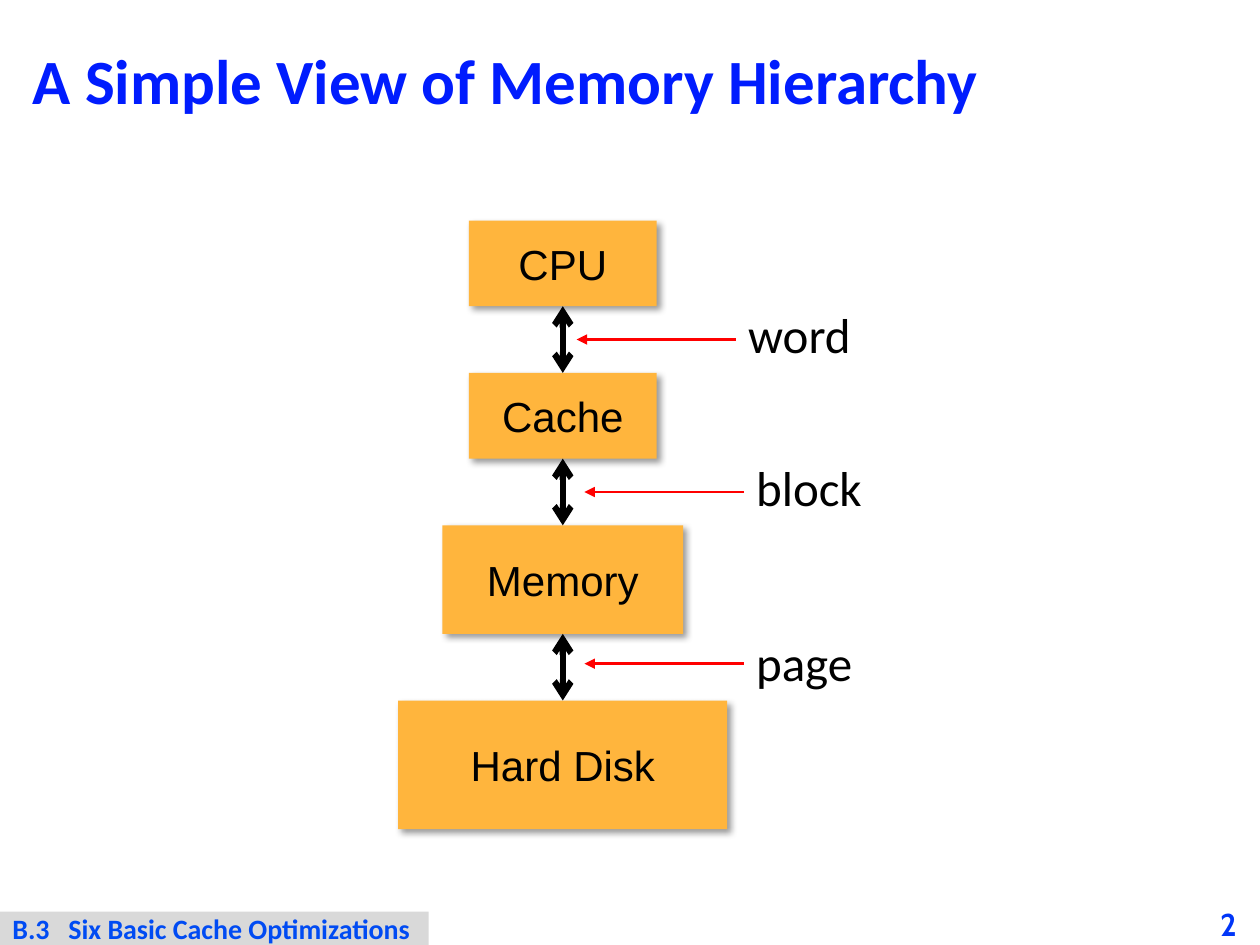
from dataclasses import dataclass

from lxml import etree
from pptx import Presentation
from pptx.dml.color import RGBColor
from pptx.enum import shapes, text
from pptx.oxml import ns
from pptx.util import Pt


@dataclass(frozen=True)
class Theme:
    black: str = "000000"
    title: str = "001CFE"
    number: str = "0136F8"
    footer: str = "004BF3"
    band: str = "D9D9D9"
    box: str = "FFB53D"
    red: str = "FF0000"
    sans: str = "Calibri"
    plain: str = "Arial"
    cabin: str = "Cabin"
    head: int = 36
    label: int = 28
    body: int = 24
    page: int = 18
    foot: int = 16


def child(node, tag, **attrs):
    return etree.SubElement(node, ns.qn(tag), attrs)


class Deck:
    def __init__(self, theme):
        self.theme = theme
        self.prs = Presentation()
        self.prs.slide_width, self.prs.slide_height = Pt(720), Pt(540)
        self.slide = self.prs.slides.add_slide(self.prs.slide_layouts[5])

    def label(self, shape, words, font, size, color, bold=False,
              align=text.PP_ALIGN.LEFT, anchor=text.MSO_ANCHOR.MIDDLE,
              inset=(7.2, 3.6)):
        frame = shape.text_frame
        frame.word_wrap = True
        frame.auto_size = text.MSO_AUTO_SIZE.NONE
        frame.vertical_anchor = anchor
        frame.margin_left = frame.margin_right = Pt(inset[0])
        frame.margin_top = frame.margin_bottom = Pt(inset[1])
        para = frame.paragraphs[0]
        para.alignment = align
        for word in words:
            run = para.add_run()
            run.text = word
            run.font.name, run.font.size = font, Pt(size)
            run.font.bold = bold
            run.font.color.rgb = RGBColor.from_string(color)
        return para

    def title(self, words, x, y, w, h):
        t = self.theme
        shape = self.slide.shapes.title
        shape.left, shape.top, shape.width, shape.height = map(Pt, (x, y, w, h))
        para = self.label(shape, [words], t.sans, t.head, t.title, True)
        para.line_spacing = 0.9

    def rect(self, x, y, w, h, color):
        shape = self.slide.shapes.add_shape(
            shapes.MSO_SHAPE.RECTANGLE, Pt(x), Pt(y), Pt(w), Pt(h))
        shape.fill.solid()
        shape.fill.fore_color.rgb = RGBColor.from_string(color)
        shape.line.fill.background()
        shape.shadow.inherit = False
        return shape

    def box(self, words, x, y, w, h):
        t = self.theme
        shape = self.rect(x, y, w, h, t.box)
        shade = child(shape.element.spPr.find(ns.qn("a:effectLst")), "a:outerShdw",
                      blurRad=str(Pt(4)), dist=str(Pt(3)), dir="2700000",
                      algn="tl", rotWithShape="0")
        child(child(shade, "a:srgbClr", val=t.black), "a:alpha", val="40000")
        self.label(shape, [words], t.plain, t.body, t.black,
                   align=text.PP_ALIGN.CENTER)
        return shape

    def note(self, words, x, y, w, h, **style):
        shape = self.slide.shapes.add_textbox(Pt(x), Pt(y), Pt(w), Pt(h))
        self.label(shape, [words], **style)

    def line(self, x1, y1, x2, y2, color, width, **ends):
        link = self.slide.shapes.add_connector(
            shapes.MSO_CONNECTOR.STRAIGHT, Pt(x1), Pt(y1), Pt(x2), Pt(y2))
        link.line.color.rgb = RGBColor.from_string(color)
        link.line.width = Pt(width)
        props = link.element.spPr
        for end, kind in ends.items():
            child(props.find(ns.qn("a:ln")), f"a:{end}", type=kind)
        child(props, "a:effectLst")
        return link

    def join(self, low, high):
        link = self.line(0, 0, 0, 0, self.theme.black, 3.5,
                         headEnd="arrow", tailEnd="arrow")
        link.begin_connect(low, 0)
        link.end_connect(high, 2)

    def footer(self, mark, words, x, y, w, h):
        t = self.theme
        shape = self.rect(x, y, w, h, t.band)
        self.label(shape, [mark, "\t", words], t.sans, t.foot,
                   t.footer, True, inset=(7.2, 0))
        props = shape.element.find(".//" + ns.qn("a:pPr"))
        child(child(props, "a:tabLst"), "a:tab", pos=str(Pt(32)), algn="l")


def main():
    t = Theme()
    deck = Deck(t)
    deck.title("A Simple View of Memory Hierarchy", 11.5, 11.5, 697, 72.7)

    mid, gap, top = 321.6, 38.1, 126
    levels = [("CPU", 107.3, 49), ("Cache", 107.3, 49),
              ("Memory", 137.5, 62), ("Hard Disk", 188, 73.5)]
    units = [("word", 420.5, 0), ("block", 425, 0), ("page", 425, -2)]

    boxes, gaps = [], []
    for name, w, h in levels:
        boxes.append(deck.box(name, mid - w / 2, top, w, h))
        gaps.append(top + h + gap / 2)
        top += h + gap

    for high, low, y, (unit, x, lift) in zip(boxes, boxes[1:], gaps, units):
        deck.join(low, high)
        deck.line(x, y + lift, x - 91, y + lift, t.red, 1.5, tailEnd="triangle")
        deck.note(unit, x, y - 23.5, 80, 41, font=t.sans, size=t.label,
                  color=t.black, anchor=text.MSO_ANCHOR.TOP)

    deck.footer("B.3", "Six Basic Cache Optimizations", 0, 521, 245, 19)
    deck.note("2", 684, 516, 36, 24, font=t.cabin, size=t.page, color=t.number,
              bold=True, align=text.PP_ALIGN.CENTER, inset=(0, 0))
    deck.prs.save("out.pptx")


if __name__ == "__main__":
    main()
